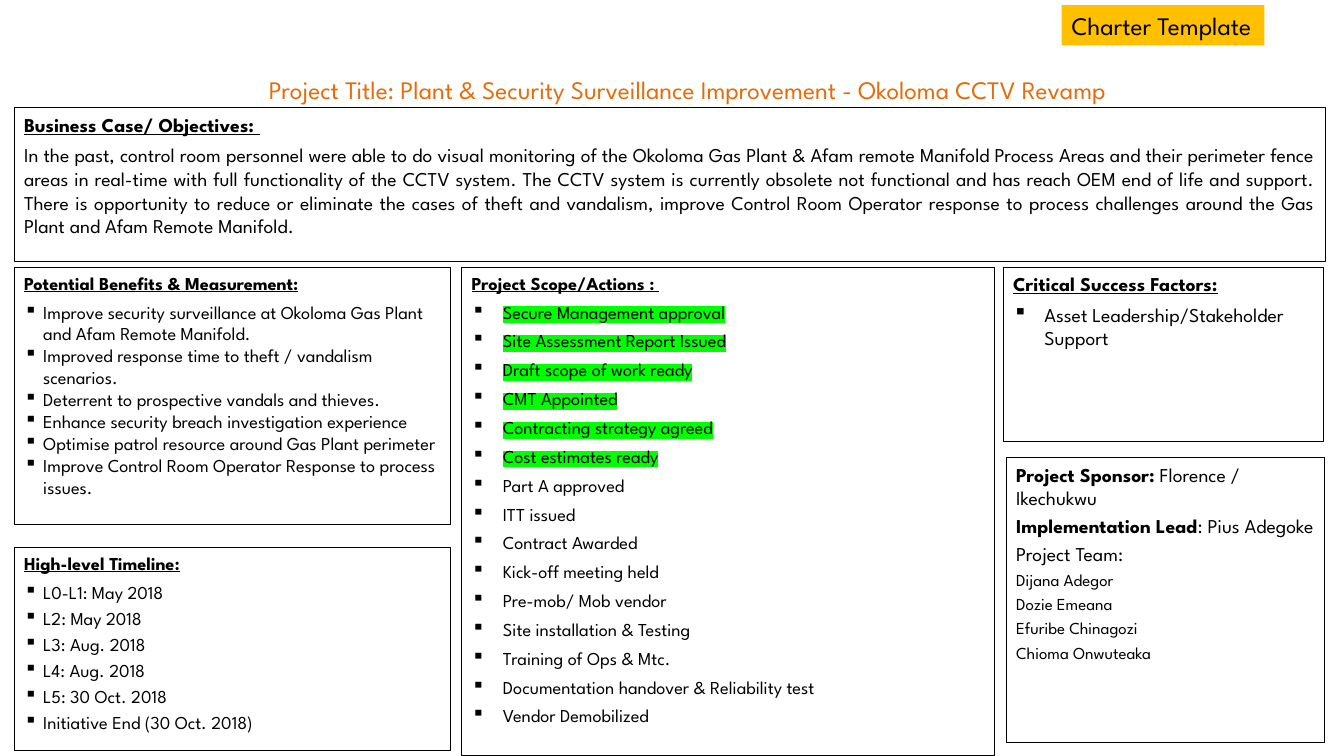
from dataclasses import dataclass

from lxml.etree import SubElement
from pptx import Presentation
from pptx.dml.color import RGBColor
from pptx.enum.shapes import MSO_SHAPE
from pptx.enum.text import MSO_ANCHOR, PP_ALIGN
from pptx.oxml.ns import qn
from pptx.util import Inches, Pt


@dataclass(frozen=True)
class Theme:
    font: str = "League Spartan"
    ink: str = "000000"
    title: str = "E46C0A"
    paper: str = "FFFFFF"
    tag: str = "FFC000"
    done: str = "00FF00"
    display: int = 18
    large: int = 14
    medium: int = 13
    small: int = 12
    line: float = 0.75


T = Theme()
W, H = Inches(13.33), Inches(7.5)

# Grid, in percent of the slide's width and height
LEFT, LEFT_W = 1.05, 32.48
MID, MID_W = 34.36, 39.61
RIGHT, RIGHT_W = 74.64, 23.86
ROW = 35.33

# Bullet indents in inches
NARROW, WIDE = 0.19, 0.31

BUSINESS_CASE = (
    "In the past, control room personnel were able to do visual monitoring of the "
    "Okoloma Gas Plant & Afam remote Manifold Process Areas and their perimeter fence "
    "areas in real-time with full functionality of the CCTV system. The CCTV system is "
    "currently obsolete not functional and has reach OEM end of life and support. There "
    "is opportunity to reduce or eliminate the cases of theft and vandalism, improve "
    "Control Room Operator response to process challenges around the Gas Plant and Afam "
    "Remote Manifold."
)
BENEFITS = [
    "Improve security surveillance at Okoloma Gas Plant and Afam Remote Manifold.",
    "Improved response time to theft / vandalism scenarios.",
    "Deterrent to prospective vandals and thieves.",
    "Enhance security breach investigation experience",
    "Optimise patrol resource around Gas Plant perimeter",
    "Improve Control Room Operator Response to process issues.",
]
ACTIONS_DONE = [
    "Secure Management approval",
    "Site Assessment Report Issued",
    "Draft scope of work ready",
    "CMT Appointed",
    "Contracting strategy agreed",
    "Cost estimates ready",
]
ACTIONS_OPEN = [
    "Part A approved",
    "ITT issued",
    "Contract Awarded",
    "Kick-off meeting held",
    "Pre-mob/ Mob vendor",
    "Site installation & Testing",
    "Training of Ops & Mtc.",
    "Documentation handover & Reliability test",
    "Vendor Demobilized",
]
MILESTONES = [
    "L0-L1: May 2018",
    "L2: May 2018",
    "L3: Aug. 2018",
    "L4: Aug. 2018",
    "L5: 30 Oct. 2018",
    "Initiative End (30 Oct. 2018)",
]
TEAM = ["Dijana Adegor", "Dozie Emeana", "Efuribe Chinagozi", "Chioma Onwuteaka"]


def rgb(value):
    return RGBColor.from_string(value)


def place(left, top, width, height):
    """Turn percent of the slide into lengths."""
    return [int(size * share / 100)
            for size, share in zip((W, H, W, H), (left, top, width, height))]


def add_box(slide, area, fill=T.paper, line=T.ink):
    sp = slide.shapes.add_shape(MSO_SHAPE.RECTANGLE, *place(*area))
    sp.shadow.inherit = False
    sp.fill.solid()
    sp.fill.fore_color.rgb = rgb(fill)
    if line:
        sp.line.color.rgb = rgb(line)
        sp.line.width = Pt(T.line)
    else:
        sp.line.fill.background()
    tf = sp.text_frame
    tf.word_wrap = True
    tf.vertical_anchor = MSO_ANCHOR.TOP
    return tf


def add_paragraph(tf, align=PP_ALIGN.LEFT, before=0, after=0, indent=0):
    first = tf.paragraphs[0]
    p = tf.add_paragraph() if first.runs else first
    p.alignment = align
    p.space_before, p.space_after = Pt(before), Pt(after)
    if indent:
        pPr = p._p.get_or_add_pPr()
        pPr.set("marL", str(Inches(indent)))
        pPr.set("indent", str(-Inches(indent)))
        SubElement(pPr, qn("a:buChar"), char="▪")
    return p


def add_run(p, text, size, color=T.ink, bold=False, underline=False, highlight=None):
    r = p.add_run()
    r.text = text
    r.font.size = Pt(size)
    r.font.bold, r.font.underline = bold, underline
    r.font.color.rgb = rgb(color)
    if highlight:
        mark = SubElement(r._r.get_or_add_rPr(), qn("a:highlight"))
        SubElement(mark, qn("a:srgbClr"), val=highlight)
    r.font.name = T.font


def add_heading(tf, text, size, align=PP_ALIGN.JUSTIFY):
    add_run(add_paragraph(tf, align, after=5), text, size, bold=True, underline=True)


def add_bullets(tf, items, size, highlight=None, **layout):
    for item in items:
        add_run(add_paragraph(tf, **layout), item, size, highlight=highlight)


def add_title(slide, text, area):
    tf = slide.shapes.add_textbox(*place(*area)).text_frame
    tf.word_wrap = True
    tf.vertical_anchor = MSO_ANCHOR.MIDDLE
    add_run(add_paragraph(tf, PP_ALIGN.CENTER), text, T.display, T.title)


def main():
    prs = Presentation()
    prs.slide_width, prs.slide_height = W, H
    slide = prs.slides.add_slide(prs.slide_layouts[6])

    # Title and tag
    add_title(slide, "Project Title: Plant & Security Surveillance Improvement - "
              "Okoloma CCTV Revamp", (3.83, 9.6, 94.67, 4.53))
    tag = add_box(slide, (78.99, 0.67, 15.08, 5.33), T.tag, None)
    tag.word_wrap = False
    add_run(add_paragraph(tag), "Charter Template", T.display)

    # Business case
    tf = add_box(slide, (LEFT, 14.27, 97.6, 20.27))
    add_heading(tf, "Business Case/ Objectives: ", T.large)
    add_run(add_paragraph(tf, PP_ALIGN.JUSTIFY, after=5), BUSINESS_CASE, T.large)

    # Left column: benefits and timeline
    tf = add_box(slide, (LEFT, ROW, LEFT_W, 34))
    add_heading(tf, "Potential Benefits & Measurement:", T.medium)
    add_bullets(tf, BENEFITS, T.medium, indent=NARROW)

    tf = add_box(slide, (LEFT, 72.4, LEFT_W, 26.93))
    add_heading(tf, "High-level Timeline:", T.medium)
    add_bullets(tf, MILESTONES[:1], T.medium, indent=NARROW)
    add_bullets(tf, MILESTONES[1:], T.medium, indent=NARROW, before=3)

    # Middle column: scope, finished actions highlighted
    tf = add_box(slide, (MID, ROW, MID_W, 100 - ROW))
    add_heading(tf, "Project Scope/Actions : ", T.medium)
    for actions, mark in ((ACTIONS_DONE, T.done), (ACTIONS_OPEN, None)):
        add_bullets(tf, actions, T.medium, mark,
                    align=PP_ALIGN.JUSTIFY, after=5, indent=WIDE)

    # Right column: success factors and people
    tf = add_box(slide, (RIGHT, ROW, RIGHT_W, 23.07))
    add_heading(tf, "Critical Success Factors:", T.large, PP_ALIGN.LEFT)
    add_bullets(tf, ["Asset Leadership/Stakeholder Support"], T.large,
                after=5, indent=WIDE)

    tf = add_box(slide, (74.87, 60.53, 23.71, 37.73))
    for before, role, name in ((0, "Project Sponsor:", " Florence / Ikechukwu"),
                               (3, "Implementation Lead", ": Pius Adegoke")):
        p = add_paragraph(tf, before=before)
        add_run(p, role, T.large, bold=True)
        add_run(p, name, T.large)
    add_run(add_paragraph(tf, before=3), "Project Team:", T.large)
    for member in TEAM:
        add_run(add_paragraph(tf, before=3), member, T.small)

    prs.save("out.pptx")


if __name__ == "__main__":
    main()
